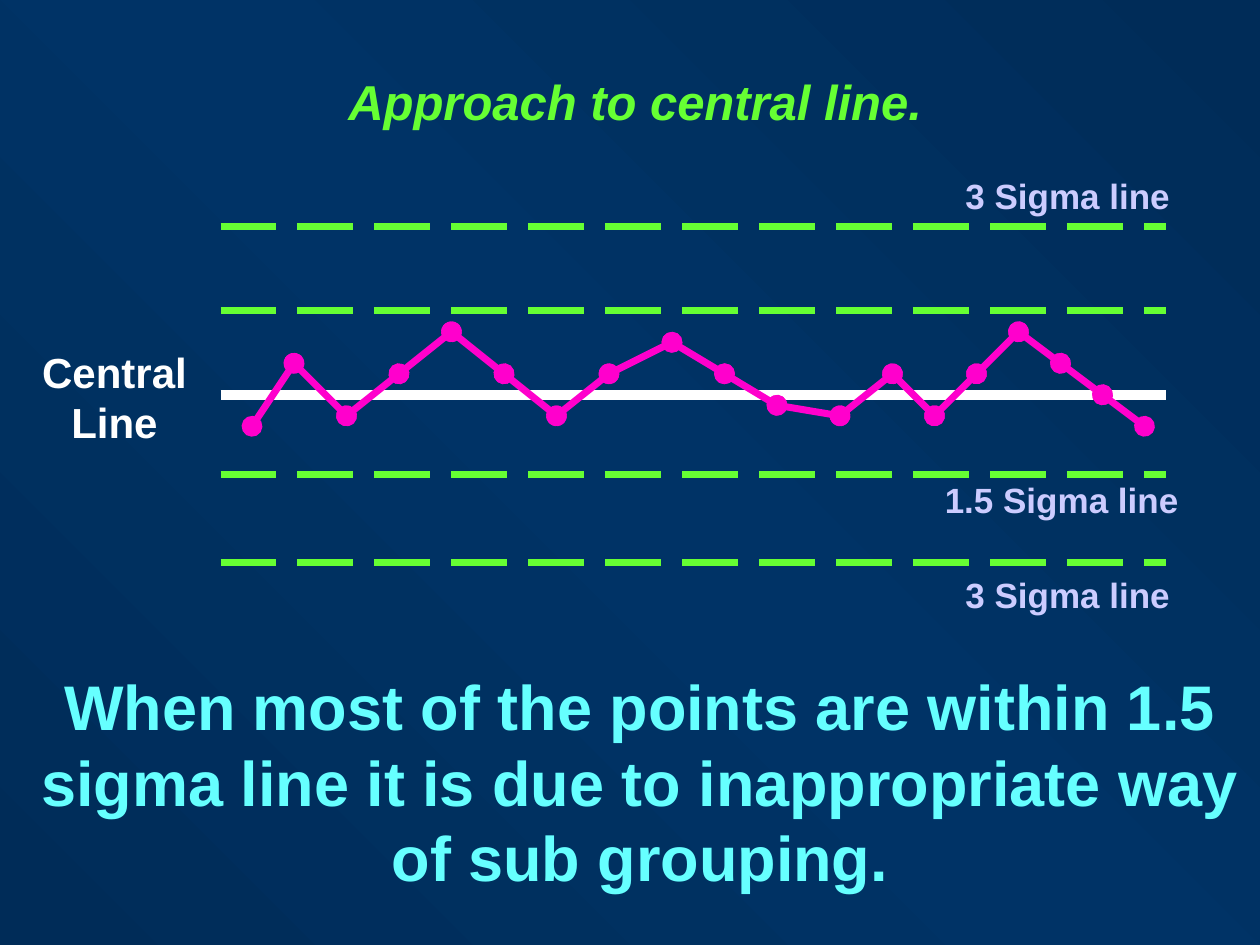
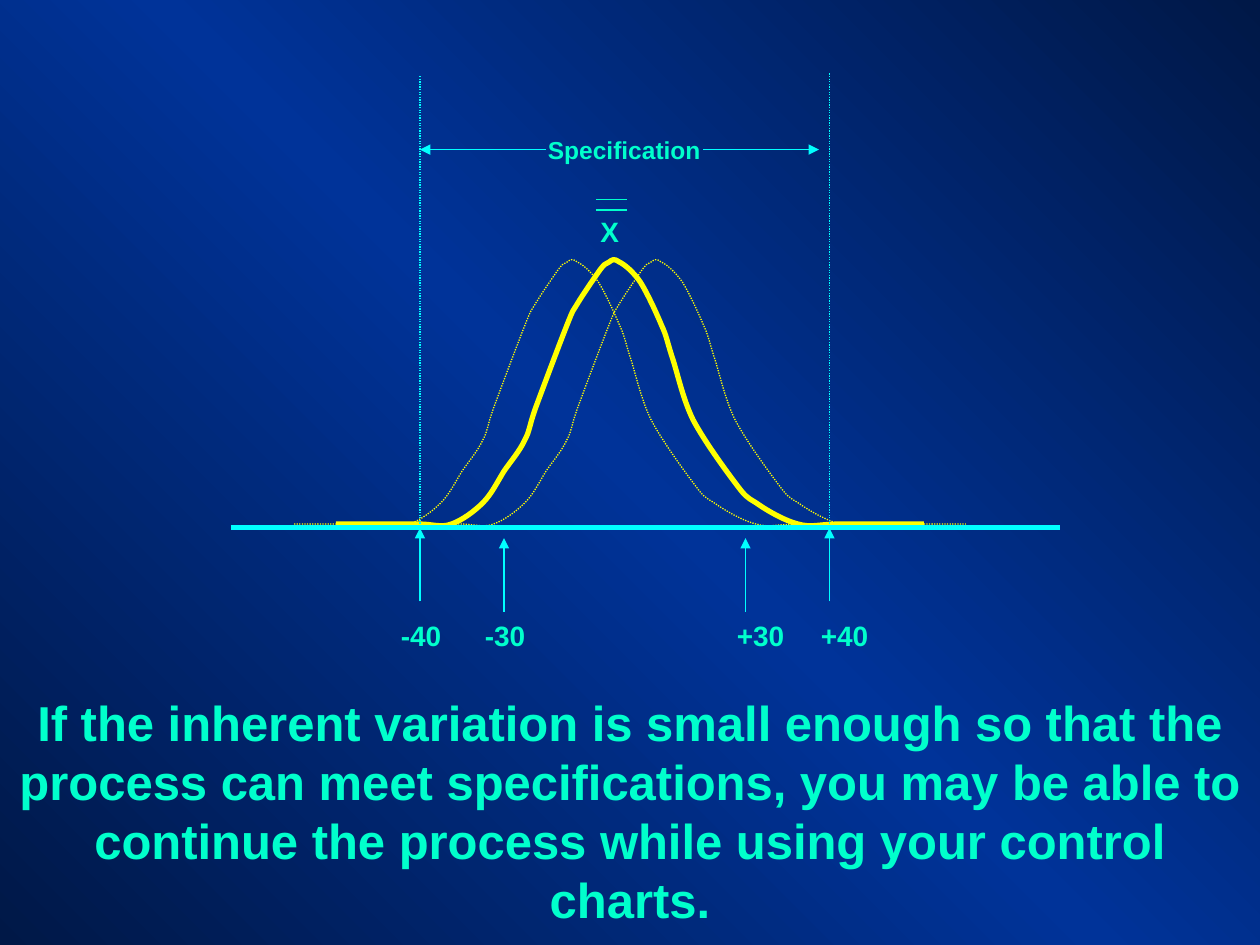
"""Build two control-chart slides: points near the central line, and a process inside its specification."""
from copy import deepcopy
from itertools import pairwise

from pptx import Presentation
from pptx.dml.color import RGBColor
from pptx.enum import dml, shapes, text
from pptx.oxml.ns import qn
from pptx.util import Pt

GREEN = RGBColor(0x66, 0xFF, 0x33)
AQUA = RGBColor(0x66, 0xFF, 0xFF)
WHITE = RGBColor(0xFF, 0xFF, 0xFF)
LAVENDER = RGBColor(0xCC, 0xCC, 0xFF)
MAGENTA = RGBColor(0xFF, 0x00, 0xCC)
MINT = RGBColor(0x00, 0xFF, 0xCC)
CYAN = RGBColor(0x00, 0xFF, 0xFF)
YELLOW = RGBColor(0xFF, 0xFF, 0x00)
TEAL_EDGE, TEAL_MIDDLE = RGBColor(0x00, 0x2C, 0x58), RGBColor(0x00, 0x33, 0x66)
NAVY_EDGE, NAVY_MIDDLE = RGBColor(0x00, 0x18, 0x47), RGBColor(0x00, 0x33, 0x99)

LONG_DASH = dml.MSO_LINE.LONG_DASH
DOTTED = dml.MSO_LINE.ROUND_DOT
CENTER = text.PP_ALIGN.CENTER
LEFT = text.PP_ALIGN.LEFT

STYLES = {
    "title": ({"size": Pt(28), "italic": True}, GREEN, CENTER, True),
    "message": ({"size": Pt(36)}, AQUA, CENTER, True),
    "central": ({"size": Pt(24)}, WHITE, CENTER, False),
    "sigma": ({"size": Pt(20)}, LAVENDER, LEFT, False),
    "conclusion": ({"size": Pt(28)}, MINT, CENTER, True),
    "specification": ({"size": Pt(14)}, MINT, LEFT, True),
    "limit": ({"size": Pt(16)}, MINT, LEFT, True),
}

APPROACH_TEXTS = [
    ("title", "Approach to central line.", (24, 37.5, 678, 41)),
    ("message", "When most of the points are within 1.5 sigma line it is due to "
     "inappropriate way of sub grouping.", (11.5, 378, 708.5, 137)),
    ("central", "Central\nLine", (16.8, 194.2, 97.2, 65)),
    ("sigma", "3 Sigma line", (544.6, 96, 131.8, 31)),
    ("sigma", "3 Sigma line", (544.6, 324, 131.8, 31)),
    ("sigma", "1.5 Sigma line", (532.8, 270, 148.3, 31)),
]
CHART_LEFT, CHART_RIGHT, CENTRAL_Y = 126, 666, 225.6
SIGMA_YS = [129.6, 177.6, 271.2, 321.6]
READINGS = [
    (144, 243.6), (168, 207.6), (198, 237.6), (228, 213.6), (258, 189.6), (288, 213.6),
    (318, 237.6), (348, 213.6), (384, 195.6), (414, 213.6), (444, 231.6), (480, 237.6),
    (510, 213.6), (534, 237.6), (558, 213.6), (582, 189.6), (606, 207.6), (630, 225.6),
    (654, 243.6),
]

SPECIFICATION_TEXTS = [
    ("conclusion", "If the inherent variation is small enough so that the process can meet "
     "specifications, you may be able to continue the process while using your control charts.",
     (0, 392.2, 720, 142)),
    ("specification", "Specification", (306, 73.5, 102, 24.5)),
    ("limit", "X", (336, 118.8, 36, 26.6)),
]
LIMITS = [
    ("-40", 240, 301.7, 222, 42),
    ("-30", 288, 307.5, 270, 126),
    ("+30", 426, 307.5, 414, 54),
    ("+40", 474, 301.7, 462, 42),
]
ARROW_LENGTH = 42
LIMIT_TEXT_Y = 349.8
AXIS = (132, 606, 301.5)
SPECIFICATION_EDGES = [(474, 42), (240, 43.5)]
SPECIFICATION_ARROWS = [(312, 240), (402, 468)]
SPECIFICATION_Y = 85.5
MEAN_BAR_YS = [120, 114]
CURVES = [(168, 0.75, DOTTED), (192, 3, None), (216, 0.75, DOTTED)]
BELL_START = (0, 299.5)
BELL = [
    ((8, 299.5), (16, 299.5), (24, 299.5)),
    ((32, 299.5), (41, 299.5), (48, 299.5)),
    ((55, 299.5), (60, 301.7), (66, 299.5)),
    ((72, 297.4), (79, 292.3), (84, 287.3)),
    ((89, 282.2), (92, 275.8), (96, 269.3)),
    ((100, 263.5), (105, 257.8), (108, 251.3)),
    ((111, 245.5), (110, 244.8), (114, 233.3)),
    ((118, 222.5), (128, 195.8), (132, 185.8)),
    ((136, 175.7), (135, 178.6), (138, 173.5)),
    ((141, 168.5), (147, 159.8), (150, 155.5)),
    ((153, 151.2), (154, 150.5), (156, 149.8)),
    ((158, 148.3), (159, 147.6), (162, 149.8)),
    ((165, 151.2), (170, 155.5), (174, 161.3)),
    ((178, 167.8), (183, 178.6), (186, 185.8)),
    ((189, 192.2), (189, 194.4), (192, 203.8)),
    ((195, 212.4), (198, 227.5), (204, 239.8)),
    ((210, 251.3), (222, 267.8), (228, 275.8)),
    ((234, 283.7), (234, 283.7), (240, 287.3)),
    ((246, 291.6), (256, 297.4), (264, 299.5)),
    ((272, 301.7), (276, 299.5), (288, 299.5)),
    ((300, 299.5), (328, 299.5), (336, 299.5)),
]


def add_slide(deck, edge, middle):
    slide = deck.slides.add_slide(deck.slide_layouts[6])
    fill = slide.background.fill
    fill.gradient()
    fill.gradient_angle = 45
    stops = next(slide.element.iter(qn("a:gsLst")))
    stops.append(deepcopy(stops[0]))
    for stop, position, color in zip(fill.gradient_stops, (0, 0.5, 1), (edge, middle, edge)):
        stop.position = position
        stop.color.rgb = color
    return slide


def add_text(slide, style, words, place):
    look, color, alignment, wrap = STYLES[style]
    frame = slide.shapes.add_textbox(*map(Pt, place)).text_frame
    frame.word_wrap = wrap
    frame.text = words
    for paragraph in frame.paragraphs:
        paragraph.alignment = alignment
        for name, value in {"name": "Arial", "bold": True, **look}.items():
            setattr(paragraph.font, name, value)
        paragraph.font.color.rgb = color


def style_line(line, color, width, dash):
    line.color.rgb = color
    line.width = Pt(width)
    if dash:
        line.dash_style = dash


def add_line(slide, start, end, color, width=0.75, dash=None, **ends):
    connector = slide.shapes.add_connector(shapes.MSO_CONNECTOR.STRAIGHT, *map(Pt, (*start, *end)))
    style_line(connector.line, color, width, dash)
    properties = connector.element.spPr
    outline = properties.find(qn("a:ln"))
    for end_name, kind in ends.items():
        outline.append(outline.makeelement(qn(f"a:{end_name}"), {"type": kind}))
    properties.append(properties.makeelement(qn("a:effectLst"), {}))


def round_segments(curve):
    segments = list(curve.element.iter(qn("a:lnTo")))
    for first in range(0, len(segments), 3):
        bezier = segments[first].makeelement(qn("a:cubicBezTo"), {})
        segments[first].addprevious(bezier)
        for segment in segments[first:first + 3]:
            bezier.append(segment[0])
            segment.getparent().remove(segment)


def add_curve(slide, left, width, dash):
    start, *rest = [(Pt(left + x), Pt(y)) for x, y in (BELL_START, *sum(BELL, ()))]
    builder = slide.shapes.build_freeform(*start)
    builder.add_line_segments(rest, close=False)
    curve = builder.convert_to_shape()
    round_segments(curve)
    curve.shadow.inherit = False
    curve.fill.background()
    style_line(curve.line, YELLOW, width, dash)


def build_approach(deck):
    slide = add_slide(deck, TEAL_EDGE, TEAL_MIDDLE)
    for item in APPROACH_TEXTS:
        add_text(slide, *item)
    for y in SIGMA_YS:
        add_line(slide, (CHART_LEFT, y), (CHART_RIGHT, y), GREEN, 4, LONG_DASH)
    add_line(slide, (CHART_LEFT, CENTRAL_Y), (CHART_RIGHT, CENTRAL_Y), WHITE, 6)
    for start, end in pairwise(READINGS):
        add_line(slide, start, end, MAGENTA, 4, headEnd="oval", tailEnd="oval")


def build_specification(deck):
    slide = add_slide(deck, NAVY_EDGE, NAVY_MIDDLE)
    for item in SPECIFICATION_TEXTS:
        add_text(slide, *item)
    for curve in CURVES:
        add_curve(slide, *curve)
    left, right, axis_y = AXIS
    add_line(slide, (left, axis_y), (right, axis_y), CYAN, 3)
    for x, top in SPECIFICATION_EDGES:
        add_line(slide, (x, top), (x, 331.5), CYAN, dash=DOTTED)
    for start, end in SPECIFICATION_ARROWS:
        add_line(slide, (start, SPECIFICATION_Y), (end, SPECIFICATION_Y), CYAN, tailEnd="triangle")
    for label, x, tip, text_left, text_width in LIMITS:
        add_line(slide, (x, tip + ARROW_LENGTH), (x, tip), CYAN, tailEnd="triangle")
        add_text(slide, "limit", label, (text_left, LIMIT_TEXT_Y, text_width, 26.6))
    for y in MEAN_BAR_YS:
        add_line(slide, (340.5, y), (358.5, y), MINT)


def main():
    deck = Presentation()
    deck.slide_width, deck.slide_height = Pt(720), Pt(540)
    build_approach(deck)
    build_specification(deck)
    deck.save("out.pptx")


if __name__ == "__main__":
    main()
